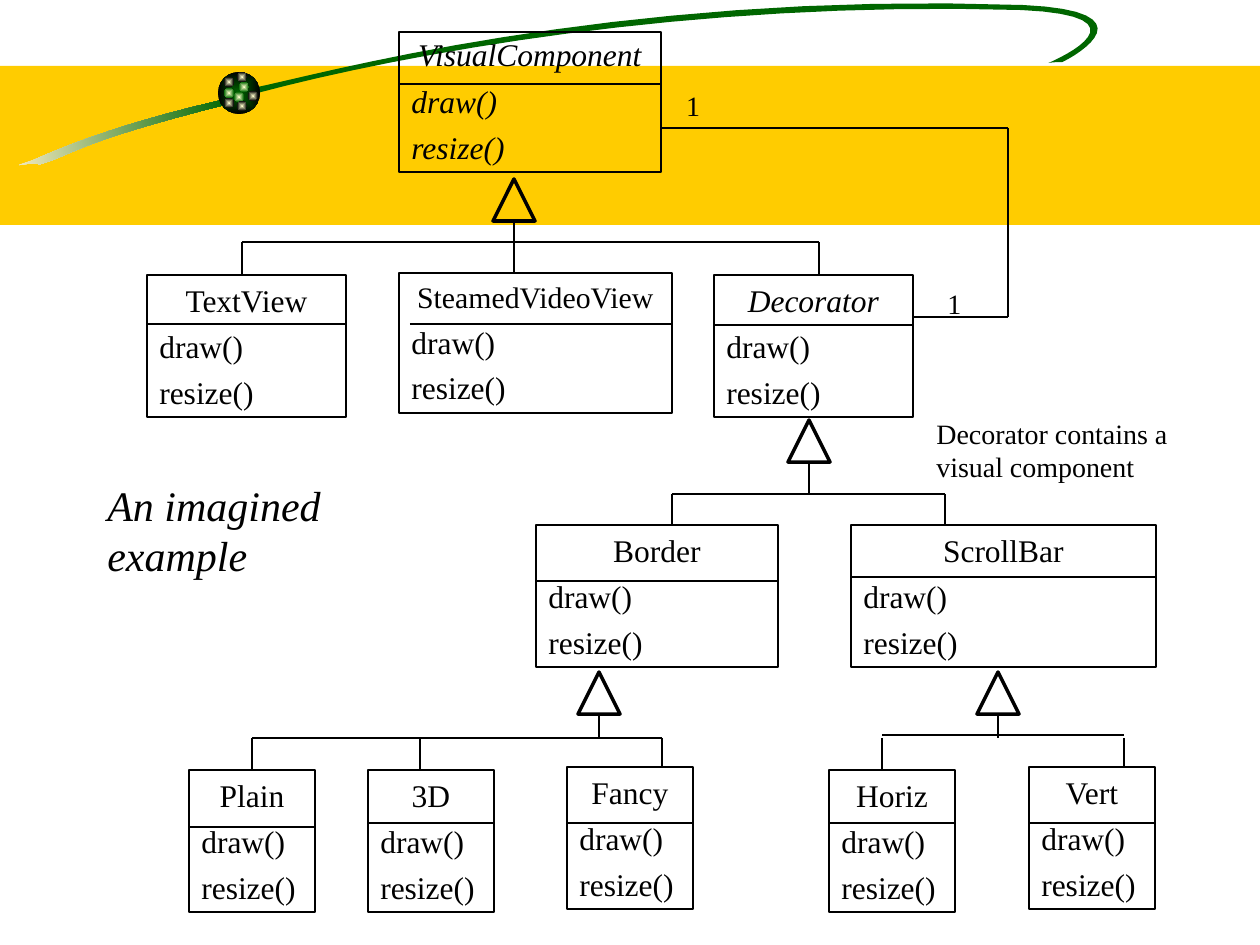
import math

import lxml.etree
import pptx
import pptx.dml.color
import pptx.enum.shapes
import pptx.enum.text
import pptx.oxml.ns
import pptx.util

SCALE = 914400 / 126
SHAPES = pptx.enum.shapes.MSO_SHAPE
CENTER = pptx.enum.text.PP_ALIGN.CENTER
LEFT = pptx.enum.text.PP_ALIGN.LEFT
COLORS = {"ink": "000000", "band": "FFCC00", "green": "006600",
          "cream": "FFFFCC", "sand": "F5EBC1"}


def emu(pixels):
    return pptx.util.Emu(round(pixels * SCALE))


def rgb(name):
    return pptx.dml.color.RGBColor.from_string(COLORS[name])


def write(para, text, size=18, italic=False, align=LEFT, before=0, leading=None):
    para.alignment = align
    para.space_before = pptx.util.Pt(before)
    if leading:
        para.line_spacing = leading
    span = para.add_run()
    span.text = text
    span.font.name = "Times New Roman"
    span.font.size = pptx.util.Pt(size)
    span.font.italic = italic
    span.font.color.rgb = rgb("ink")


def trace_curves(start, curves, steps=16):
    points = [start]
    for curve in curves:
        corners = [points[-1], *curve]
        for step in range(1, steps + 1):
            t = step / steps
            weights = ((1 - t) ** 3, 3 * t * (1 - t) ** 2, 3 * t * t * (1 - t), t ** 3)
            points.append(tuple(sum(w * c[axis] for w, c in zip(weights, corners))
                                for axis in (0, 1)))
    return points


class Diagram:
    def __init__(self, page, line_width=1, arrow_width=2, arrow_size=42, tilt=8.5):
        self.page = page
        self.line_width = line_width
        self.arrow_width = arrow_width
        self.arrow_size = arrow_size
        self.tilt = tilt

    def paint(self, shape, fill=None, outline=None):
        shape.shadow.inherit = False
        if fill is None:
            shape.fill.background()
        elif isinstance(fill, str):
            shape.fill.solid()
            shape.fill.fore_color.rgb = rgb(fill)
        else:
            shape.fill.gradient()
            shape.fill.gradient_angle = 0
            for stop, name in zip(shape.fill.gradient_stops, fill):
                stop.color.rgb = rgb(name)
        if outline:
            shape.line.color.rgb = rgb("ink")
            shape.line.width = pptx.util.Pt(outline)
        else:
            shape.line.fill.background()

    def shape(self, kind, left, top, width, height, fill=None, outline=None):
        shape = self.page.shapes.add_shape(kind, emu(left), emu(top), emu(width), emu(height))
        self.paint(shape, fill, outline)
        return shape

    def bead(self, left, top, size, inner, outer):
        bead = self.shape(SHAPES.OVAL, left, top, size, size, (inner, outer))
        qn = pptx.oxml.ns.qn
        linear = next(bead.element.iter(qn("a:lin")))
        gradient = linear.getparent()
        gradient.remove(linear)
        focus = lxml.etree.SubElement(gradient, qn("a:path"), {"path": "rect"})
        lxml.etree.SubElement(focus, qn("a:fillToRect"), dict.fromkeys("ltrb", "50000"))

    def ribbon(self, center, start, curves, fill):
        angle = math.radians(self.tilt)
        points = []
        for x, y in trace_curves(start, curves):
            across, down = x - center[0], y - center[1]
            points.append((emu(center[0] + across * math.cos(angle) - down * math.sin(angle)),
                           emu(center[1] + across * math.sin(angle) + down * math.cos(angle))))
        builder = self.page.shapes.build_freeform(*points[0], scale=1.0)
        builder.add_line_segments(points[1:], close=True)
        ribbon = builder.convert_to_shape()
        ribbon.rotation = 360 - self.tilt
        self.paint(ribbon, fill)

    def line(self, x1, y1, x2, y2):
        line = self.page.shapes.add_connector(
            pptx.enum.shapes.MSO_CONNECTOR.STRAIGHT, emu(x1), emu(y1), emu(x2), emu(y2))
        line.line.color.rgb = rgb("ink")
        line.line.width = pptx.util.Pt(self.line_width)
        lxml.etree.SubElement(line.element.spPr, pptx.oxml.ns.qn("a:effectLst"))
        return line

    def frame(self, shape):
        frame = shape.text_frame
        frame.word_wrap = True
        frame.vertical_anchor = pptx.enum.text.MSO_ANCHOR.TOP
        frame.auto_size = pptx.enum.text.MSO_AUTO_SIZE.SHAPE_TO_FIT_TEXT
        return frame

    def class_box(self, name, left, top, width, height, divider, inset=0,
                  size=18, italic=False, italic_methods=False, leading=None):
        box = self.shape(SHAPES.RECTANGLE, left, top, width, height, outline=self.line_width)
        frame = self.frame(box)
        write(frame.paragraphs[0], name, size=size, italic=italic, align=CENTER, leading=leading)
        for method in ("draw()", "resize()"):
            write(frame.add_paragraph(), method, italic=italic_methods, before=4.5)
        self.line(left + inset, divider, left + width, divider)
        return box

    def label(self, text, left, top, width, height, **style):
        box = self.page.shapes.add_textbox(emu(left), emu(top), emu(width), emu(height))
        write(self.frame(box).paragraphs[0], text, **style)

    def inheritance(self, middle, top, bar, root, children):
        size = self.arrow_size
        self.shape(SHAPES.ISOSCELES_TRIANGLE, middle - size // 2, top, size, size,
                   outline=self.arrow_width)
        self.line(middle, top + size, middle, root)
        self.line(children[0][0], bar, children[-1][0], bar)
        for x, box in children:
            drop = self.line(x, root, x, box.top / SCALE)
            if abs(box.left + box.width // 2 - drop.end_x) < SCALE:
                drop.end_connect(box, 0)


def main():
    deck = pptx.Presentation()
    deck.slide_width, deck.slide_height = emu(1260), emu(945)
    diagram = Diagram(deck.slides.add_slide(deck.slide_layouts[6]))

    diagram.shape(SHAPES.RECTANGLE, 0, 66, 1260, 159, "band")
    diagram.ribbon((112, 134), (224, 98), [
        ((115, 123), (62, 146), (32, 159)), ((1, 169), (33, 159), (39, 163)),
        ((72, 154), (72, 142), (226, 103))], ("sand", "green"))
    diagram.ribbon((704, 50), (255, 92), [
        ((310, 82), (612, -6), (1026, 9)), ((1155, 15), (1080, 59), (1065, 66)),
        ((1065, 66), (1056, 66), (1051, 67)), ((1063, 62), (1154, 20), (1024, 14)),
        ((690, 4), (403, 59), (260, 97))], "green")
    diagram.bead(218, 72, 42, "green", "ink")
    for left, top, rim in ((239, 82, "green"), (224, 77, "ink"), (224, 88, "green"),
                           (234, 92, "green"), (248, 91, "ink"), (237, 101, "ink"),
                           (224, 98, "ink"), (237, 72, "ink")):
        diagram.bead(left, top, 10, "cream", rim)

    diagram.class_box("VisualComponent", 399, 32, 262, 140, 84,
                      italic=True, italic_methods=True, leading=0.95)
    text_view = diagram.class_box("TextView", 147, 275, 199, 142, 324)
    video = diagram.class_box("SteamedVideoView", 399, 273, 273, 140, 324, inset=11, size=17)
    decorator = diagram.class_box("Decorator", 714, 275, 199, 142, 325, italic=True)
    border = diagram.class_box("Border", 536, 525, 242, 142, 581)
    scroll_bar = diagram.class_box("ScrollBar", 851, 525, 305, 142, 577)
    plain, three_d, fancy, horiz, vert = [
        diagram.class_box(name, left, top, 126, 142, divider)
        for name, left, top, divider in (
            ("Plain", 189, 770, 827), ("3D", 368, 770, 823), ("Fancy", 567, 767, 823),
            ("Horiz", 829, 770, 823), ("Vert", 1029, 767, 823))]

    diagram.inheritance(514, 179, 242, 242, [(242, text_view), (514, video), (819, decorator)])
    diagram.inheritance(809, 420, 494, 494, [(672, border), (945, scroll_bar)])
    diagram.inheritance(599, 672, 738, 738, [(252, plain), (420, three_d), (662, fancy)])
    diagram.inheritance(998, 672, 735, 738, [(882, horiz), (1124, vert)])

    diagram.line(661, 128, 1008, 128)
    diagram.line(1008, 128, 1008, 317)
    diagram.line(913, 317, 1008, 317)

    diagram.label("1", 672, 82, 42, 47, size=16, align=CENTER, before=10)
    diagram.label("1", 935, 280, 32, 47, size=16, align=CENTER, before=10)
    diagram.label("Decorator contains a visual component", 924, 410, 273, 81, size=16, before=10)
    diagram.label("An imagined example", 95, 473, 262, 113, size=24, italic=True, before=15)

    deck.save("out.pptx")


if __name__ == "__main__":
    main()
